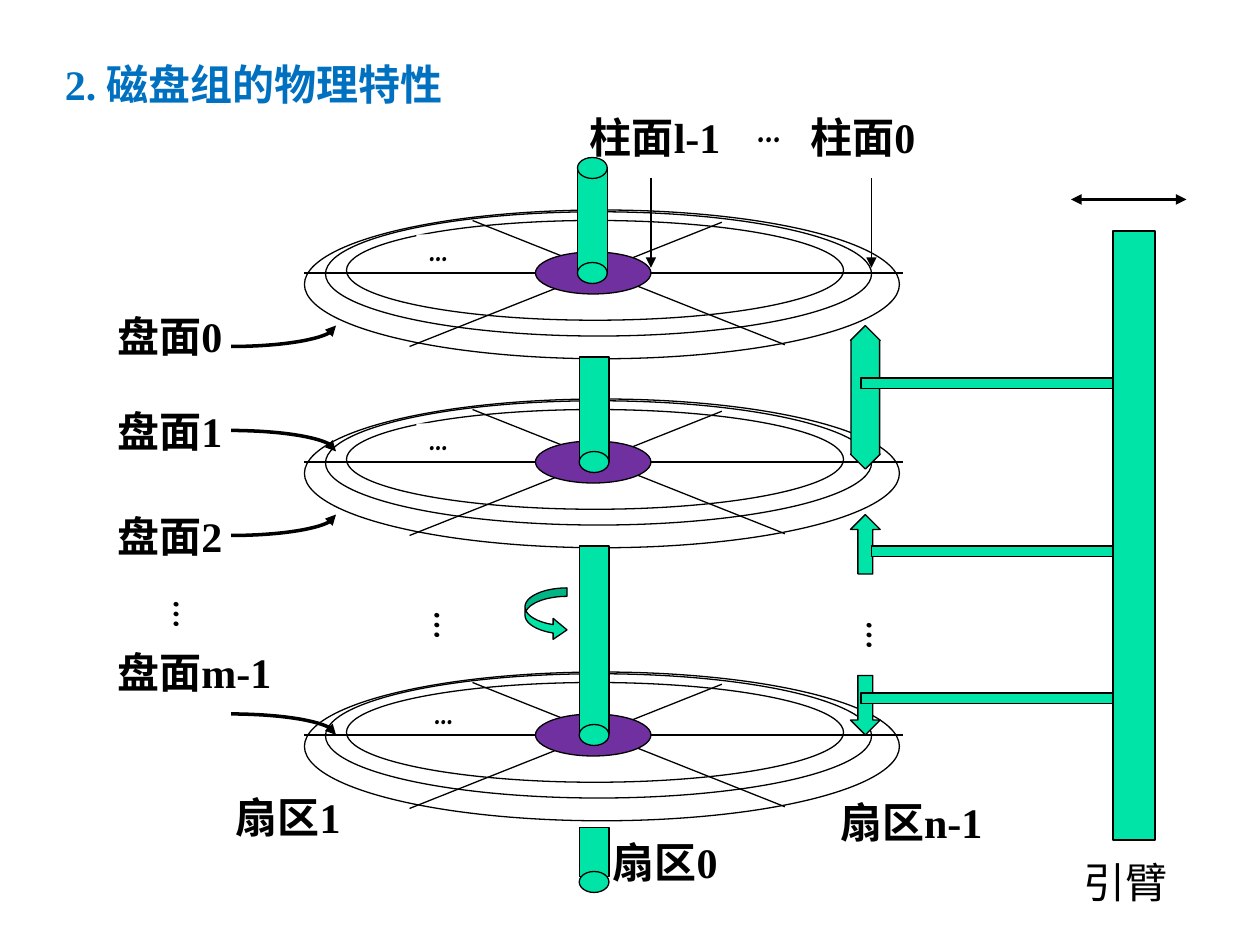
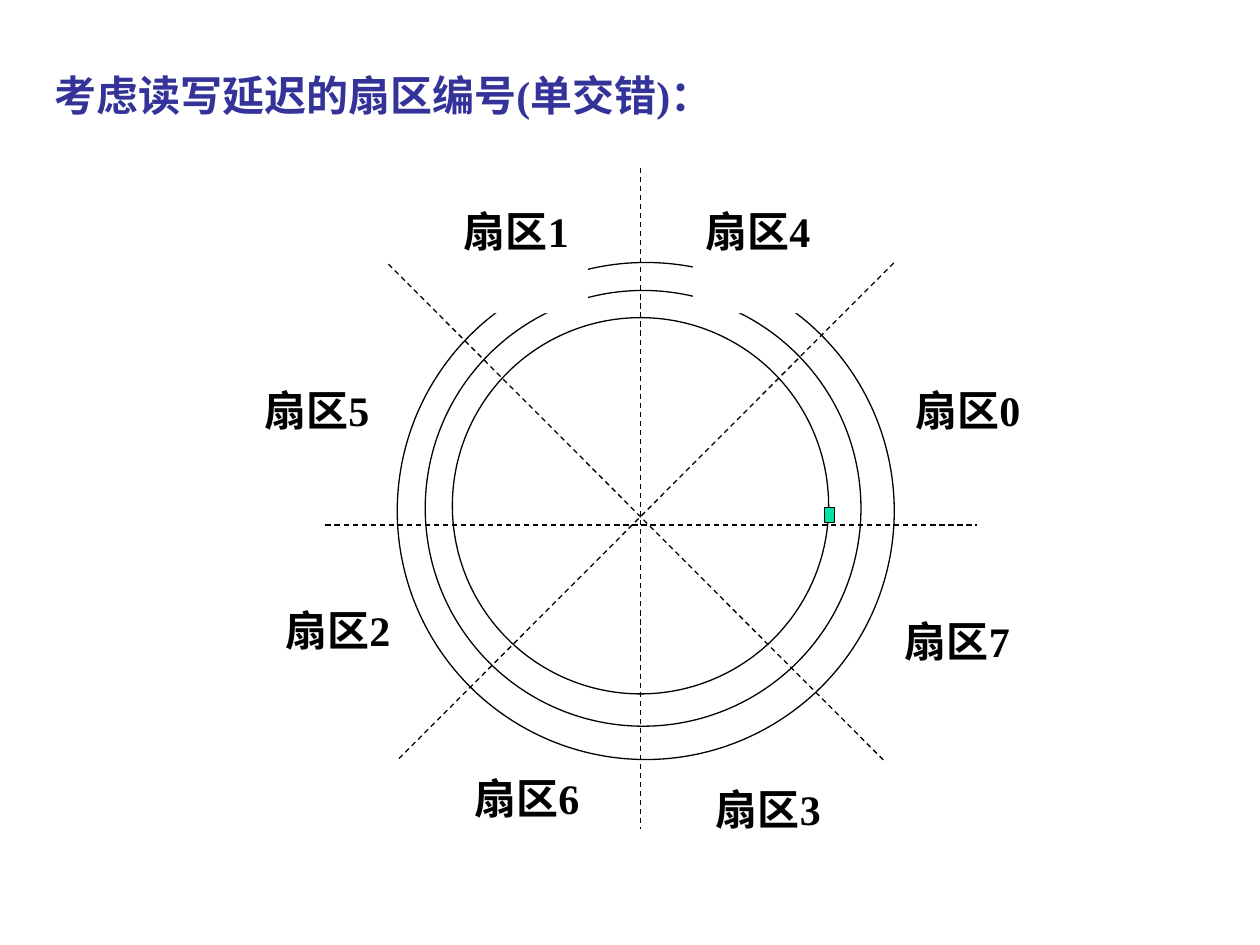
from math import cos, pi, sin

from lxml.etree import SubElement as Sub
from pptx import Presentation
from pptx.dml.color import RGBColor as Rgb
from pptx.enum.dml import MSO_LINE as Dash
from pptx.enum.shapes import MSO_CONNECTOR as Conn, MSO_SHAPE as Kind
from pptx.enum.text import MSO_ANCHOR as Anchor, PP_ALIGN as Align
from pptx.oxml.ns import qn
from pptx.util import Pt

COLORS = {
    "ink": "000000", "paper": "FFFFFF", "metal": "00E4A8", "hub": "7030A0",
    "blue": "0070C0", "navy": "333399",
}
SERIF, COMIC = "Times New Roman", "Comic Neue"
THIN, THICK = 0.75, 2


def color(name):
    return Rgb.from_string(COLORS[name])


# Basic parts

def shape(slide, kind, x, y, w, h, fill, line="ink"):
    part = slide.shapes.add_shape(kind, Pt(x), Pt(y), Pt(w), Pt(h))
    part.shadow.inherit = False
    part.fill.solid()
    part.fill.fore_color.rgb = color(fill)
    if line:
        part.line.color.rgb = color(line)
        part.line.width = Pt(THIN)
    else:
        part.line.fill.background()
    return part


def tip(part, *ends):
    ln = part.line._get_or_add_ln()
    for end in ends:
        Sub(ln, qn("a:" + end), type="triangle")


def line(slide, x1, y1, x2, y2, width=THIN, dash=None, ends=()):
    part = slide.shapes.add_connector(
        Conn.STRAIGHT, Pt(x1), Pt(y1), Pt(x2), Pt(y2))
    part.line.color.rgb = color("ink")
    part.line.width = Pt(width)
    if dash:
        part.line.dash_style = dash
    tip(part, *ends)
    Sub(part._element.spPr, qn("a:effectLst"))


def write(part, text, font=SERIF, size=24, ink="ink", bold=True, pad=(7.2, 3.6)):
    frame = part.text_frame
    frame.word_wrap = True
    frame.vertical_anchor = Anchor.TOP
    frame.margin_left = frame.margin_right = Pt(pad[0])
    frame.margin_top = frame.margin_bottom = Pt(pad[1])
    para = frame.paragraphs[0]
    para.alignment = Align.LEFT
    run = para.add_run()
    run.text = text
    run.font.name = font
    run.font.size = Pt(size)
    run.font.bold = bold
    run.font.color.rgb = color(ink)
    return para


def label(slide, text, x, y, w=84, h=36, **style):
    box = slide.shapes.add_textbox(Pt(x), Pt(y), Pt(w), Pt(h))
    write(box, text, **style)
    return box


def column(slide, x, y):
    """Three dots that run downwards."""
    box = label(slide, "…", x, y, 43, 48, font=COMIC, pad=(3.6, 7.2))
    box.text_frame._txBody.bodyPr.set("vert", "eaVert")


def title(slide, text, x, y, ink):
    label(slide, text, x, y, 630, 36, ink=ink)


# Disk pack

def disk(slide, x, y, gap=(64, 14)):
    rings = [(0, 0, 340, 85), (12, 1, 312, 71), (24, 6, 284, 57)]
    for dx, dy, w, h in rings:
        shape(slide, Kind.OVAL, x + dx, y + dy, w, h, "paper")
    spokes = [(238.5, 7, 60, 78), (96, 6, 274.5, 77), (0, 36, 342, 36)]
    for x1, y1, x2, y2 in spokes:
        line(slide, x + x1, y + y1, x + x2, y + y2)
    shape(slide, Kind.OVAL, x + 132, y + 24, 66, 24, "hub")
    dots = shape(slide, Kind.RECTANGLE, x + gap[0], y + gap[1], 47.5, 19.5,
                 "paper", None)
    write(dots, "...", COMIC, 20, pad=(7.2, 0)).line_spacing = 0.8


def axle(slide, x, y):
    rods = [(0, 6, 60), (1, 114, 60), (1, 222, 107), (1, 383, 28)]
    for dx, dy, h in rods:
        shape(slide, Kind.RECTANGLE, x + dx, y + dy, 17, h, "metal")
    caps = [(0, 0), (0, 60), (1, 168), (1, 324), (1, 408)]
    for dx, dy in caps:
        shape(slide, Kind.OVAL, x + dx, y + dy, 17, 12, "metal")
    # Spin arrow
    spin = shape(slide, Kind.CURVED_RIGHT_ARROW, x - 30, y + 246, 24, 30, "metal")
    for i, value in enumerate((0.2, 0.5, 0.33)):
        spin.adjustments[i] = value


def arms(slide, x, y):
    # Head moves
    moves = [(Kind.UP_DOWN_ARROW, 54, 82, 0.96), (Kind.UP_ARROW, 162, 34, 0.5),
             (Kind.DOWN_ARROW, 254, 34, 0.5)]
    for kind, dy, h, head in moves:
        arrow = shape(slide, kind, x, y + dy, 17, h, "metal")
        arrow.adjustments[0] = 0.5
        arrow.adjustments[1] = head
    column(slide, x - 6, y + 216)
    # Bars and post
    for dx, dy in [(6, 84), (12, 180), (6, 264)]:
        shape(slide, Kind.RECTANGLE, x + dx, y + dy, 144, 6, "metal")
    shape(slide, Kind.RECTANGLE, x + 150, y, 24, 348, "metal")
    line(slide, x + 126, y - 18, x + 192, y - 18, THICK,
         ends=("headEnd", "tailEnd"))
    label(slide, "引臂", x + 126, y + 354, 72, bold=False)


def curve(slide, x, y, rises, w=60, h=12, steps=24):
    """Quarter of an ellipse, level at its start and upright at its tip."""
    points = []
    for i in range(steps + 1):
        turn = pi / 2 * i / steps
        drop = cos(turn) if rises else 1 - cos(turn)
        points.append((Pt(x + w * sin(turn)), Pt(y + h * drop)))
    path = slide.shapes.build_freeform(*points[0])
    path.add_line_segments(points[1:], close=False)
    part = path.convert_to_shape()
    part.shadow.inherit = False
    part.fill.background()
    part.line.color.rgb = color("ink")
    part.line.width = Pt(THICK)
    tip(part, "tailEnd")


def faces(slide, x, y):
    rows = [("盘面0", 0, 12, True, 84), ("盘面1", 54, 72, False, 84),
            ("盘面2", 114, 120, True, 84), ("盘面m-1", 192, 234, False, 108)]
    for text, dy, bend, rises, w in rows:
        label(slide, text, x, y + dy, w)
        curve(slide, x + 72, y + bend, rises)
    column(slide, x + 24, y + 162)


def tracks(slide, x, y):
    label(slide, "柱面l-1", x, y, 102)
    label(slide, "...", x + 96, y - 6, 42, font=COMIC)
    label(slide, "柱面0", x + 126, y)
    for dx in (42, 168):
        line(slide, x + dx, y + 42, x + dx, y + 93, ends=("tailEnd",))


def pack(slide):
    title(slide, "2. 磁盘组的物理特性", 30, 30, "blue")
    disk(slide, 174, 228)
    disk(slide, 174, 120)
    disk(slide, 174, 384, (67, 14.5))
    column(slide, 233, 342)
    arms(slide, 486, 132)
    faces(slide, 60, 174)
    tracks(slide, 330, 60)
    # Sector names
    label(slide, "扇区1", 127.5, 449, 79, 65)
    label(slide, "扇区0", 343, 474.5)
    label(slide, "扇区n-1", 473, 451.5, 96.5, 65)
    axle(slide, 330, 90)


# Platter with interleaved sectors

def plate(slide, x, y):
    for dx, dy, size in [(41, 54, 284), (57, 70, 249), (72.5, 85.5, 215)]:
        shape(slide, Kind.OVAL, x + dx, y + dy, size, size, "paper")
    cuts = [(36, 55, 319.5, 339), (42, 337.5, 325, 54),
            (180, 0, 180, 378), (0, 204, 372, 204)]
    for x1, y1, x2, y2 in cuts:
        line(slide, x + x1, y + y1, x + x2, y + y2, dash=Dash.DASH)
    # Clockwise from the right
    spots = [(0, 330, 120), (7, 324, 252), (3, 216, 348), (6, 78, 342),
             (2, -30, 246), (5, -42, 120), (1, 72, 18), (4, 210, 18)]
    for num, dx, dy in spots:
        box = shape(slide, Kind.RECTANGLE, x + dx, y + dy, 78, 65, "paper", None)
        write(box, f"扇区{num}")
    # Head
    shape(slide, Kind.RECTANGLE, x + 285, y + 194, 6, 8.5, "metal")


def weave(slide):
    title(slide, "考虑读写延迟的扇区编号(单交错)：", 24, 36, "navy")
    plate(slide, 186, 96)


def main():
    deck = Presentation()
    deck.slide_width, deck.slide_height = Pt(720), Pt(540)
    for build in (pack, weave):
        build(deck.slides.add_slide(deck.slide_layouts[6]))
    deck.save("out.pptx")


if __name__ == "__main__":
    main()
